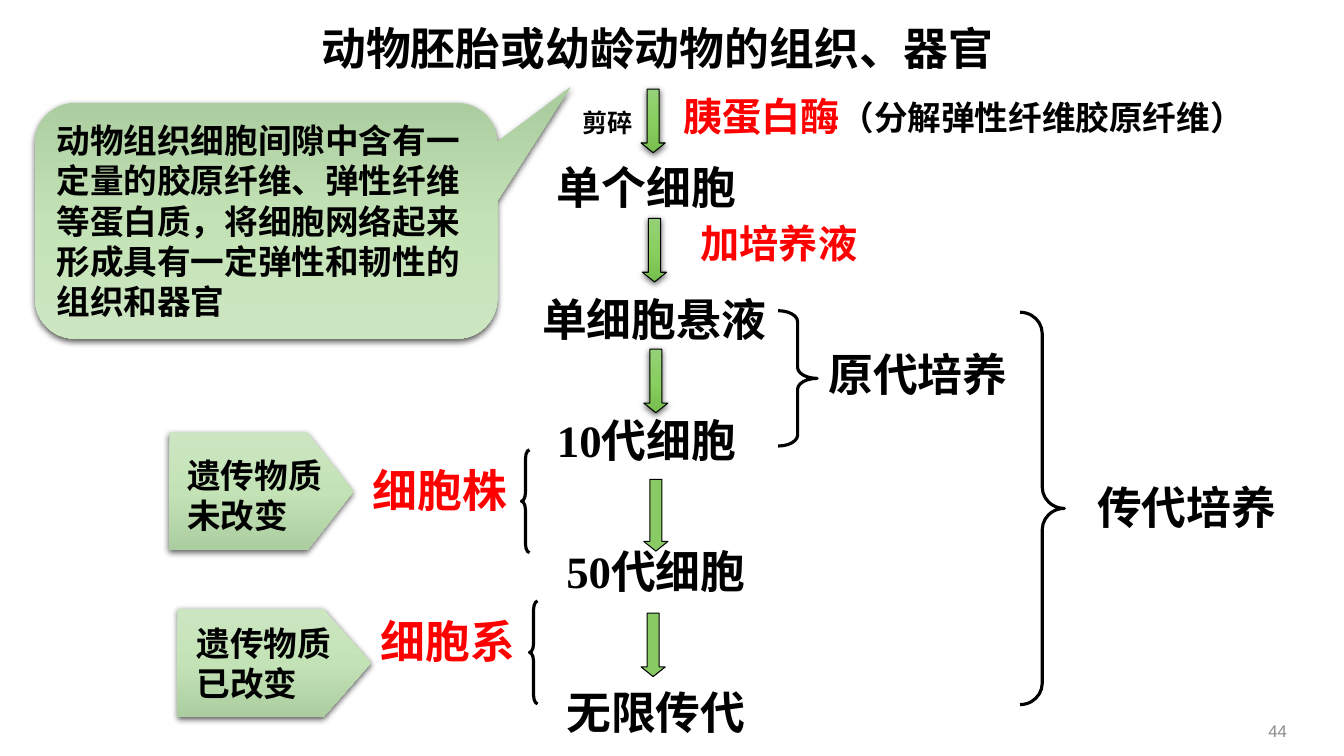
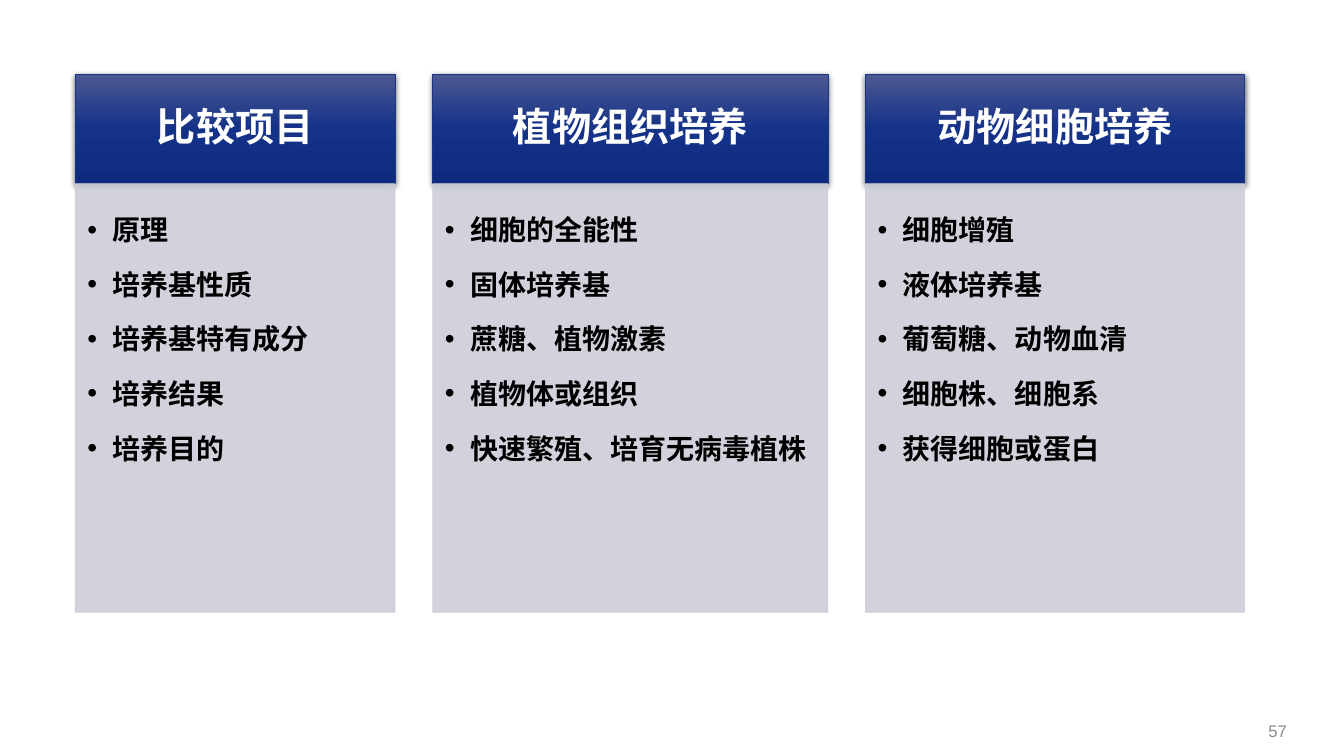
from lxml.etree import SubElement
from pptx import Presentation
from pptx.dml.color import RGBColor
from pptx.enum.shapes import MSO_SHAPE
from pptx.enum.text import MSO_ANCHOR, PP_ALIGN
from pptx.oxml.ns import qn
from pptx.util import Inches, Pt

WIDTH, HEIGHT = Inches(13.333), Inches(7.5)
FONT = "Times New Roman"
C = {
    "ink": "000000", "red": "FF0000", "white": "FFFFFF", "number": "8C8C8C",
    "arrow": "89CA64", "panel": "CCCED9", "rule": "193583",
}
ARROW_GREEN = ("96D078", "88CF5F", "77BE4E")
PALE_GREEN = ("CCE6C2", "C3E3B6", "ACCD9F")
NAVY = ("4D5892", "143288", "0D2B7E")
INSETS_HEAD = (0.22, 0.12, 0.22, 0.12)
INSETS_LIST = (0.12, 0.12, 0.16, 0.17)


def place(x, y, w, h):
    """Turn percentages of the slide's width and height into lengths."""
    return [round(v * side / 100) for v, side in
            ((x, WIDTH), (y, HEIGHT), (w, WIDTH), (h, HEIGHT))]


def rgb(name):
    """Look up a colour by name."""
    return RGBColor.from_string(C[name])


def add_alpha(sp, percent):
    """Make the solid fill and line of a shape partly transparent."""
    for clr in sp._element.spPr.iter(qn("a:srgbClr")):
        SubElement(clr, qn("a:alpha"), val=str(percent * 1000))


def add_shadow(sp):
    """Give a shape the soft shadow that falls downwards."""
    effects = sp._element.spPr.find(qn("a:effectLst"))
    shadow = SubElement(effects, qn("a:outerShdw"), blurRad=str(Pt(4.5)),
                        dist=str(Pt(1.5)), dir="5400000", rotWithShape="0")
    clr = SubElement(shadow, qn("a:srgbClr"), val=C["ink"])
    SubElement(clr, qn("a:alpha"), val="63000")


def shade(sp, colors):
    """Fill a shape from top to bottom with evenly spaced colours."""
    sp.fill.gradient()
    sp.fill.gradient_angle = 270
    stops = sp._element.spPr.find(".//" + qn("a:gsLst"))
    for stop in list(stops):
        stops.remove(stop)
    for i, color in enumerate(colors):
        pos = str(i * 100000 // (len(colors) - 1))
        SubElement(SubElement(stops, qn("a:gs"), pos=pos), qn("a:srgbClr"), val=color)


def shape(s, kind, box, fill=None, line=None, width=0.75, adj=()):
    """Add a preset shape; a tuple of colours gives a shadowed gradient."""
    sp = s.shapes.add_shape(kind, *place(*box))
    for i, value in enumerate(adj):
        sp.adjustments[i] = value
    sp.shadow.inherit = False
    if isinstance(fill, tuple):
        shade(sp, fill)
        add_shadow(sp)
    elif fill:
        sp.fill.solid()
        sp.fill.fore_color.rgb = rgb(fill)
    else:
        sp.fill.background()
    if line:
        sp.line.color.rgb = rgb(line)
        sp.line.width = Pt(width)
    else:
        sp.line.fill.background()
    return sp


def write(sp, lines, size, color="ink", align=PP_ALIGN.LEFT, anchor=MSO_ANCHOR.TOP,
          font=FONT, bold=True, insets=None, spacing=None, bullet=False):
    """Write one paragraph for each line into a shape or text box."""
    tf = sp.text_frame
    tf.word_wrap = True
    tf.vertical_anchor = anchor
    if insets:
        tf.margin_left, tf.margin_top, tf.margin_right, tf.margin_bottom = map(Inches, insets)
    for i, text in enumerate(lines):
        p = tf.add_paragraph() if i else tf.paragraphs[0]
        if bullet:
            pPr = p._p.get_or_add_pPr()
            pPr.set("marL", str(Inches(0.25)))
            pPr.set("indent", str(-Inches(0.25)))
            SubElement(pPr, qn("a:buFont"), typeface="Arial")
            SubElement(pPr, qn("a:buChar"), char="•")
            p.space_after = Pt(3)
        p.alignment = align
        if spacing:
            p.line_spacing = spacing
        r = p.add_run()
        r.text = text
        r.font.name, r.font.size, r.font.bold = font, Pt(size), bold
        r.font.color.rgb = rgb(color)


def label(s, text, x, y, w, size=32, color="ink", rows=1, **style):
    """Add a text box whose height follows from its type size."""
    h = (rows * size * 1.2 + 7.2) / 5.4
    write(s.shapes.add_textbox(*place(x, y, w, h)), [text], size, color, **style)


def arrow(s, center, y, h=8.4, fill=ARROW_GREEN):
    """Add a slim down arrow centred on a column."""
    shape(s, MSO_SHAPE.DOWN_ARROW, (center - 0.9, y, 1.8, h), fill, "ink", adj=(0.5, 0.4))


def brace(s, kind, box, curve):
    """Add a curly brace."""
    shape(s, kind, box, line="ink", width=2.25, adj=(curve, 0.5))


def page_number(s, number):
    """Add the page number at the lower right."""
    sp = s.shapes.add_textbox(*place(74, 94, 22.5, 5.3))
    write(sp, [number], 12, "number", PP_ALIGN.RIGHT, MSO_ANCHOR.MIDDLE, "Arial", False)


def cell_line(s, text, note, x, y, tag, point):
    """Add a red term with its left brace and a pentagon note."""
    brace(s, MSO_SHAPE.LEFT_BRACE, (x + 11.8, y - 1, 0.6, 13.6), 1.09)
    label(s, text, x, y, 13, color="red")
    shape(s, MSO_SHAPE.PENTAGON, tag, PALE_GREEN, adj=(point,))
    tx, ty, tw = note[1:]
    label(s, note[0], tx, ty, tw, 24, rows=2)


def column(s, x, w, title, items):
    """Add a comparison column: a header over a bulleted panel."""
    head = shape(s, MSO_SHAPE.RECTANGLE, (x, 9.8, w, 14.5), NAVY, "rule", 0.5)
    write(head, [title], 28, "white", PP_ALIGN.CENTER, MSO_ANCHOR.MIDDLE,
          insets=INSETS_HEAD, spacing=0.9)
    panel = shape(s, MSO_SHAPE.RECTANGLE, (x, 24.3, w, 56.7), "panel", "panel", 0.5)
    add_alpha(panel, 90)
    write(panel, items, 20, insets=INSETS_LIST, spacing=1.5, bullet=True)


def culture_flow(s):
    """Build the flow of animal cell culture."""
    label(s, "动物胚胎或幼龄动物的组织、器官", 14.2, 2.1, 60.5, align=PP_ALIGN.RIGHT)
    for text, x, y, w in (
        ("单个细胞", 40.7, 20.5, 15.6),
        ("单细胞悬液", 39.6, 37.9, 18.3),
        ("10代细胞", 40.7, 53.9, 16.5),
        ("50代细胞", 41.4, 71.2, 17.1),
        ("无限传代", 41.4, 89.9, 17.1),
        ("原代培养", 60.9, 45.2, 16.2),
        ("传代培养", 80.9, 62.8, 16.8),
    ):
        label(s, text, x, y, w)
    for center, y in ((48.6, 11.8), (48.7, 28.9), (48.8, 46.2)):
        arrow(s, center, y)
    arrow(s, 48.8, 63.4, 9.5, "arrow")
    arrow(s, 48.6, 81.1, fill="arrow")
    label(s, "剪碎", 42.6, 13.6, 5.4, 18)
    label(s, "胰蛋白酶", 50.1, 11.6, 14.8, 28, "red")
    label(s, "（分解弹性纤维胶原纤维）", 61.8, 12.1, 32.2, 24)
    label(s, "加培养液", 51.4, 28.4, 15, 28, "red")
    brace(s, MSO_SHAPE.RIGHT_BRACE, (57.9, 41.1, 2.9, 17.9), 0.28)
    brace(s, MSO_SHAPE.RIGHT_BRACE, (75.9, 41.3, 3.3, 51.9), 0.48)
    cell_line(s, "细胞株", ("遗传物质未改变", 13.2, 59.5, 12.5), 27, 60.5,
              (12.6, 57.2, 13.7, 15.6), 0.39)
    cell_line(s, "细胞系", ("遗传物质已改变", 13.9, 81.7, 11.9), 27.6, 80.5,
              (13.2, 80.5, 14.4, 14.4), 0.44)
    callout = shape(s, MSO_SHAPE.ROUNDED_RECTANGULAR_CALLOUT, (2.6, 13.6, 34.4, 31.2),
                    PALE_GREEN[::-1], adj=(0.66, -0.57, 0.17))
    write(callout, ["动物组织细胞间隙中含有一定量的胶原纤维、弹性纤维等蛋白质，"
                    "将细胞网络起来形成具有一定弹性和韧性的组织和器官"],
          24, anchor=MSO_ANCHOR.MIDDLE)


def comparison(s):
    """Build the comparison of plant and animal culture."""
    x, gap = 5.6, 2.8
    for w, title, items in (
        (23.8, "比较项目",
         ["原理", "培养基性质", "培养基特有成分", "培养结果", "培养目的"]),
        (29.4, "植物组织培养",
         ["细胞的全能性", "固体培养基", "蔗糖、植物激素", "植物体或组织", "快速繁殖、培育无病毒植株"]),
        (28.2, "动物细胞培养",
         ["细胞增殖", "液体培养基", "葡萄糖、动物血清", "细胞株、细胞系", "获得细胞或蛋白"]),
    ):
        column(s, x, w, title, items)
        x += w + gap


def main():
    """Build and save both slides."""
    prs = Presentation()
    prs.slide_width, prs.slide_height = WIDTH, HEIGHT
    for build, number in ((culture_flow, "44"), (comparison, "57")):
        s = prs.slides.add_slide(prs.slide_layouts[6])
        build(s)
        page_number(s, number)
    prs.save("out.pptx")


if __name__ == "__main__":
    main()
